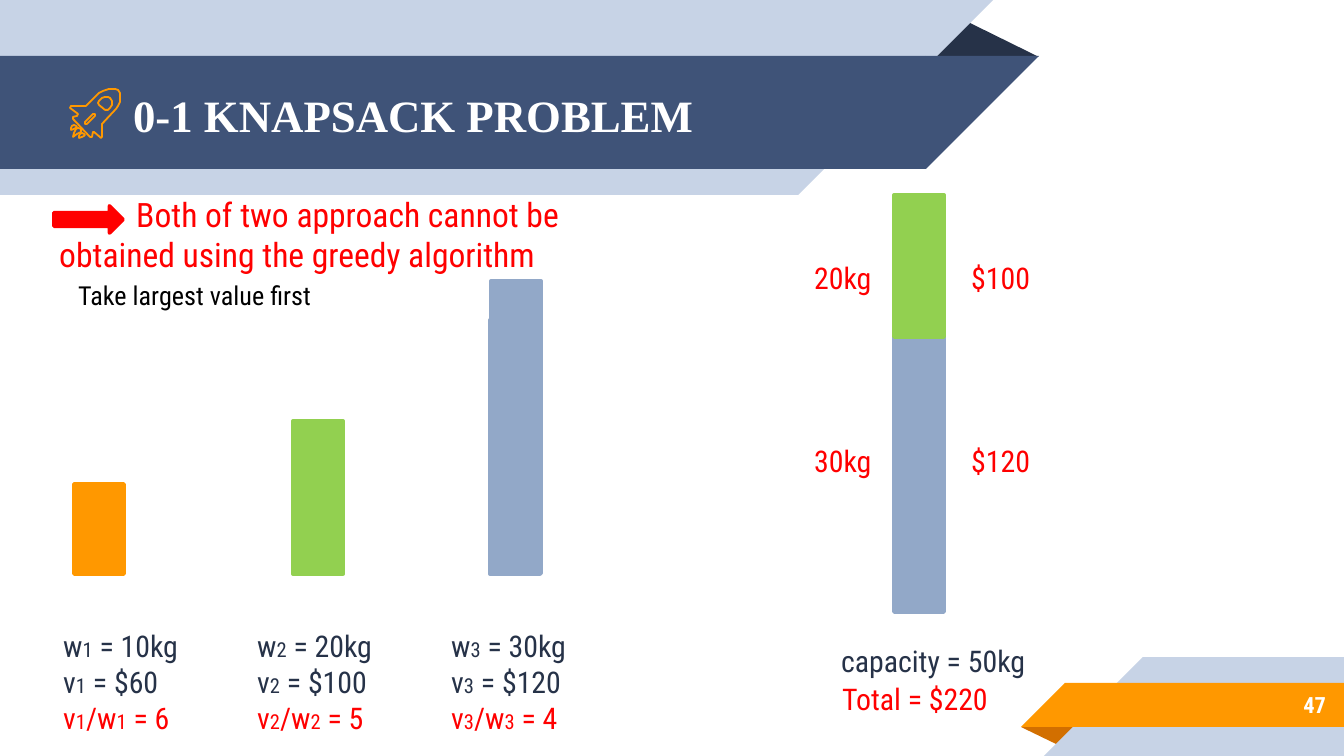
from dataclasses import dataclass

from pptx import Presentation
from pptx.dml.color import RGBColor
from pptx.enum.shapes import MSO_SHAPE
from pptx.enum.text import MSO_ANCHOR, MSO_AUTO_SIZE, PP_ALIGN
from pptx.util import Pt

EMU_PER_PX = 9144000 / 1344


def px(length):
    return round(length * EMU_PER_PX)


@dataclass(frozen=True)
class Theme:
    body_font: str = "Roboto Condensed"
    title_font: str = "Times New Roman"
    white: str = "FFFFFF"
    black: str = "000000"
    ink: str = "263248"
    outline: str = "131924"
    navy: str = "3F5378"
    pale: str = "C7D3E6"
    orange: str = "FF9800"
    rust: str = "D26F00"
    red: str = "FF0000"
    green: str = "92D050"
    blue: str = "92A8C8"
    title_size: int = 24
    lead_size: int = 18
    body_size: int = 16
    note_size: int = 14
    number_size: int = 12
    subscript_size: int = 11


class SlideBuilder:
    def __init__(self, slide, theme):
        self.slide = slide
        self.theme = theme

    def shape(self, kind, left, top, width, height, color,
              line=None, line_width=2, rotation=0):
        shape = self.slide.shapes.add_shape(
            kind, px(left), px(top), px(width), px(height))
        shape.shadow.inherit = False
        shape.rotation = rotation
        shape.fill.solid()
        shape.fill.fore_color.rgb = RGBColor.from_string(color)
        if line:
            shape.line.color.rgb = RGBColor.from_string(line)
            shape.line.width = Pt(line_width)
        else:
            shape.line.fill.background()
        return shape

    def bar(self, left, top, height, color):
        self.shape(MSO_SHAPE.RECTANGLE, left, top, 50, height, color, line=color)

    def top_band(self, top, width, height, color):
        """Band from the left edge of the slide with a slanted right end."""
        self.shape(MSO_SHAPE.RECTANGLE, 0, top, width, height, color)
        self.shape(MSO_SHAPE.RIGHT_TRIANGLE, width, top, height, height, color,
                   rotation=90)

    def bottom_band(self, left, top, height, color):
        """Band to the right edge of the slide with a slanted left end."""
        start = left + height
        self.shape(MSO_SHAPE.RECTANGLE, start, top, 1344 - start, height, color)
        self.shape(MSO_SHAPE.RIGHT_TRIANGLE, left, top, height, height, color,
                   rotation=270)

    def fold(self, left, top, width, height, color, rotation=0):
        triangle = self.shape(MSO_SHAPE.ISOSCELES_TRIANGLE, left, top,
                              width, height, color, rotation=rotation)
        triangle.adjustments[0] = 0.324

    def outline(self, *contours):
        first, *others = contours
        builder = self.slide.shapes.build_freeform(*first[0], scale=EMU_PER_PX)
        builder.add_line_segments(first[1:], close=True)
        for contour in others:
            builder.move_to(*contour[0])
            builder.add_line_segments(contour[1:], close=True)
        shape = builder.convert_to_shape()
        shape.shadow.inherit = False
        shape.fill.background()
        shape.line.color.rgb = RGBColor.from_string(self.theme.orange)
        shape.line.width = Pt(0.96)

    def style(self, span, size, color, font=None, bold=False):
        span.font.name = font or self.theme.body_font
        span.font.size = Pt(size)
        span.font.bold = bold
        span.font.color.rgb = RGBColor.from_string(color)

    def center_vertically(self, frame):
        frame.auto_size = MSO_AUTO_SIZE.NONE
        frame.vertical_anchor = MSO_ANCHOR.MIDDLE
        frame.margin_left = frame.margin_right = px(13)
        frame.margin_top = frame.margin_bottom = px(13)

    def title(self, text, left, top, width, height):
        title = self.slide.shapes.title
        title.left, title.top = px(left), px(top)
        title.width, title.height = px(width), px(height)
        frame = title.text_frame
        frame.text = text
        self.center_vertically(frame)
        para = frame.paragraphs[0]
        para.alignment = PP_ALIGN.LEFT
        self.style(para.runs[0], self.theme.title_size, self.theme.white,
                   self.theme.title_font, bold=True)
        # Bring the placeholder in front of the bands.
        self.slide.shapes._spTree.append(title._element)

    def text(self, text, left, top, width, height, color, size=None,
             wrap=False, bold=False, indent=0):
        box = self.slide.shapes.add_textbox(
            px(left), px(top), px(width), px(height))
        frame = box.text_frame
        frame.word_wrap = wrap
        frame.auto_size = MSO_AUTO_SIZE.SHAPE_TO_FIT_TEXT
        frame.text = text
        para = frame.paragraphs[0]
        if indent:
            properties = para._p.get_or_add_pPr()
            properties.set("marL", "0")
            properties.set("indent", str(px(indent)))
        self.style(para.runs[0], size or self.theme.body_size, color, bold=bold)
        return frame

    def page_number(self, number, left, top, width, height):
        frame = self.text(number, left, top, width, height, self.theme.white,
                          self.theme.number_size, wrap=True, bold=True)
        self.center_vertically(frame)
        frame.paragraphs[0].alignment = PP_ALIGN.RIGHT

    def formulas(self, left, item, weight, value, ratio):
        """Weight, value and ratio of an item; bars enclose the subscripts."""
        theme = self.theme
        box = self.slide.shapes.add_textbox(px(left), px(621), px(148), px(122))
        frame = box.text_frame
        frame.word_wrap = False
        frame.auto_size = MSO_AUTO_SIZE.SHAPE_TO_FIT_TEXT
        rows = [(f"w|{item}| = {weight}kg", theme.ink),
                (f"v|{item}| = ${value}", theme.ink),
                (f"v|{item}|/w|{item}| = {ratio}", theme.red)]
        for index, (formula, color) in enumerate(rows):
            para = frame.add_paragraph() if index else frame.paragraphs[0]
            for position, part in enumerate(formula.split("|")):
                span = para.add_run()
                span.text = part
                size = theme.subscript_size if position % 2 else theme.body_size
                self.style(span, size, color)


def draw_rocket(page):
    body = [(102, 137), (102, 124), (116, 109), (118, 106), (120, 102),
            (120, 93), (118, 90), (115, 89), (109, 89), (103, 91), (99, 93),
            (86, 106), (71, 106), (70, 108), (78, 114), (77, 116), (73, 117),
            (73, 119), (90, 137), (92, 137), (93, 132), (94, 132), (101, 138)]
    slot = [(87, 124), (85, 124), (85, 122), (93, 114), (95, 114), (95, 116)]
    window = [(108, 110), (105, 110), (99, 105), (98, 103), (99, 101),
              (102, 98), (105, 97), (108, 97), (110, 98), (112, 101),
              (112, 105), (110, 108)]
    large_flame = [(81, 129), (78, 128), (76, 129), (74, 133), (73, 137),
                   (77, 134), (79, 133), (81, 132)]
    small_flame = [(84, 134), (82, 133), (80, 134), (79, 136), (79, 138),
                   (82, 137), (84, 136), (85, 135)]
    page.outline(body, slot, window)
    page.outline(large_flame)
    for shift in (0, 8):
        page.outline([(x - shift, y - shift) for x, y in small_flame])


def main():
    deck = Presentation()
    deck.slide_width, deck.slide_height = px(1344), px(756)
    theme = Theme()
    page = SlideBuilder(deck.slides.add_slide(deck.slide_layouts[5]), theme)

    page.fold(925, 19, 114, 38, theme.ink)
    page.top_band(0, 798, 195, theme.pale)
    page.top_band(56, 926, 113, theme.navy)
    page.fold(1021, 727, 58, 19, theme.rust, rotation=180)
    page.bottom_band(1044, 657, 99, theme.pale)
    page.bottom_band(1021, 683, 44, theme.orange)
    page.title("0-1 KNAPSACK PROBLEM", 120, 58, 832, 113)
    page.page_number("47", 1120, 681, 219, 47)
    draw_rocket(page)

    page.shape(MSO_SHAPE.RECTANGLE, 894, 195, 50, 417, theme.white,
               line=theme.outline, line_width=0.25)
    page.text("capacity = 50kg", 828, 636, 214, 50, theme.ink)
    page.text("Total = $220", 829, 674, 176, 50, theme.red)
    for top, weight, value in [(253, "20kg", "$100"), (436, "30kg", "$120")]:
        page.text(weight, 801, top, 85, 50, theme.red)
        page.text(value, 958, top, 86, 50, theme.red)

    page.text("Both of two approach cannot be obtained using the greedy algorithm",
              46, 187, 569, 95, theme.red, theme.lead_size, wrap=True, indent=77)
    page.shape(MSO_SHAPE.RIGHT_ARROW, 54, 206, 69, 27, theme.red, line=theme.red)
    page.text("Take largest value first", 65, 273, 372, 47, theme.black,
              theme.note_size, wrap=True)

    for left, top, height, color in [
            (293, 421, 153, theme.green), (74, 484, 90, theme.orange),
            (490, 320, 254, theme.blue), (491, 281, 292, theme.blue),
            (894, 337, 275, theme.blue), (894, 195, 142, theme.green)]:
        page.bar(left, top, height, color)

    for item, (weight, value, ratio) in enumerate(
            [(10, 60, 6), (20, 100, 5), (30, 120, 4)], start=1):
        page.formulas(50 + 194 * (item - 1), item, weight, value, ratio)

    deck.save("out.pptx")


if __name__ == "__main__":
    main()
